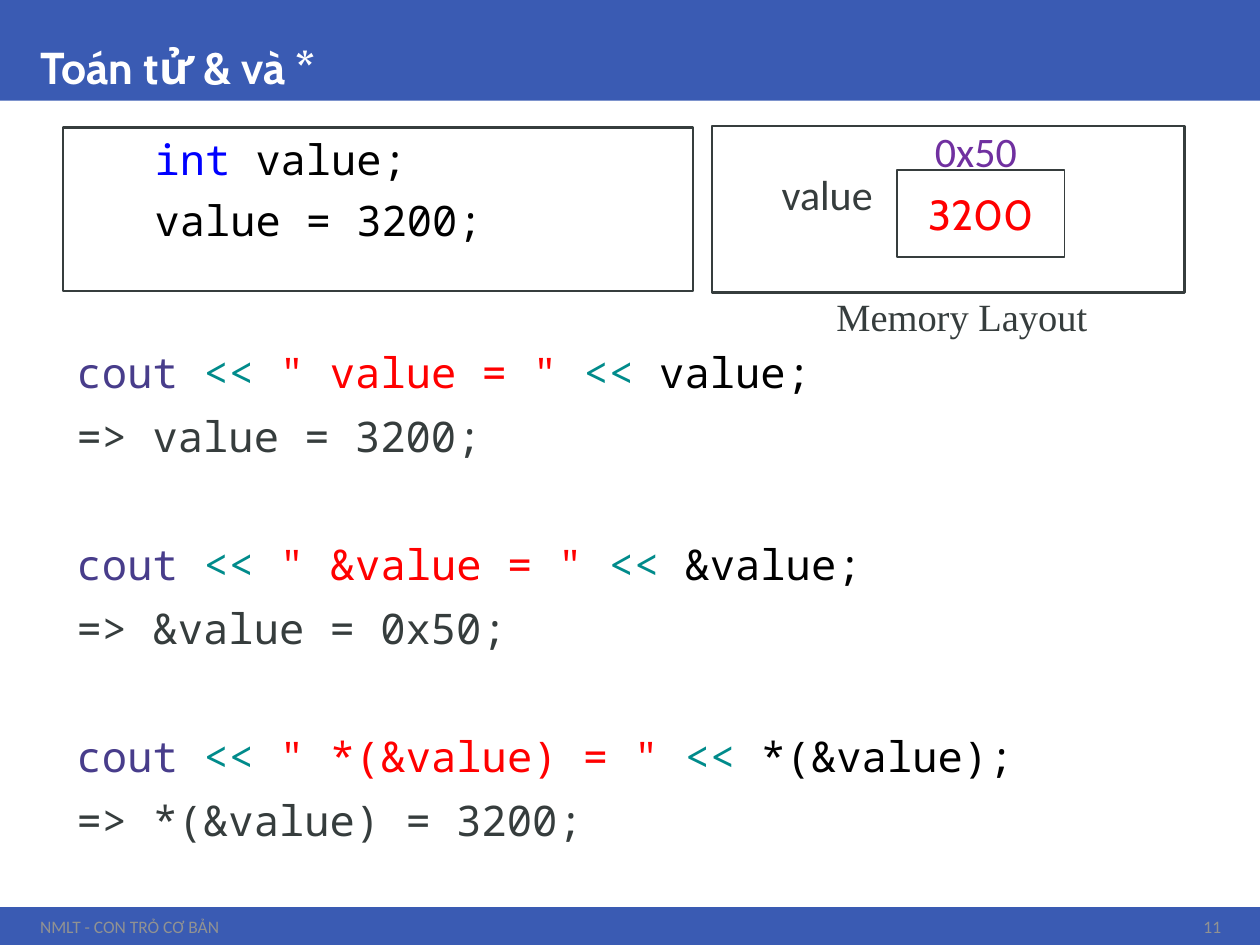
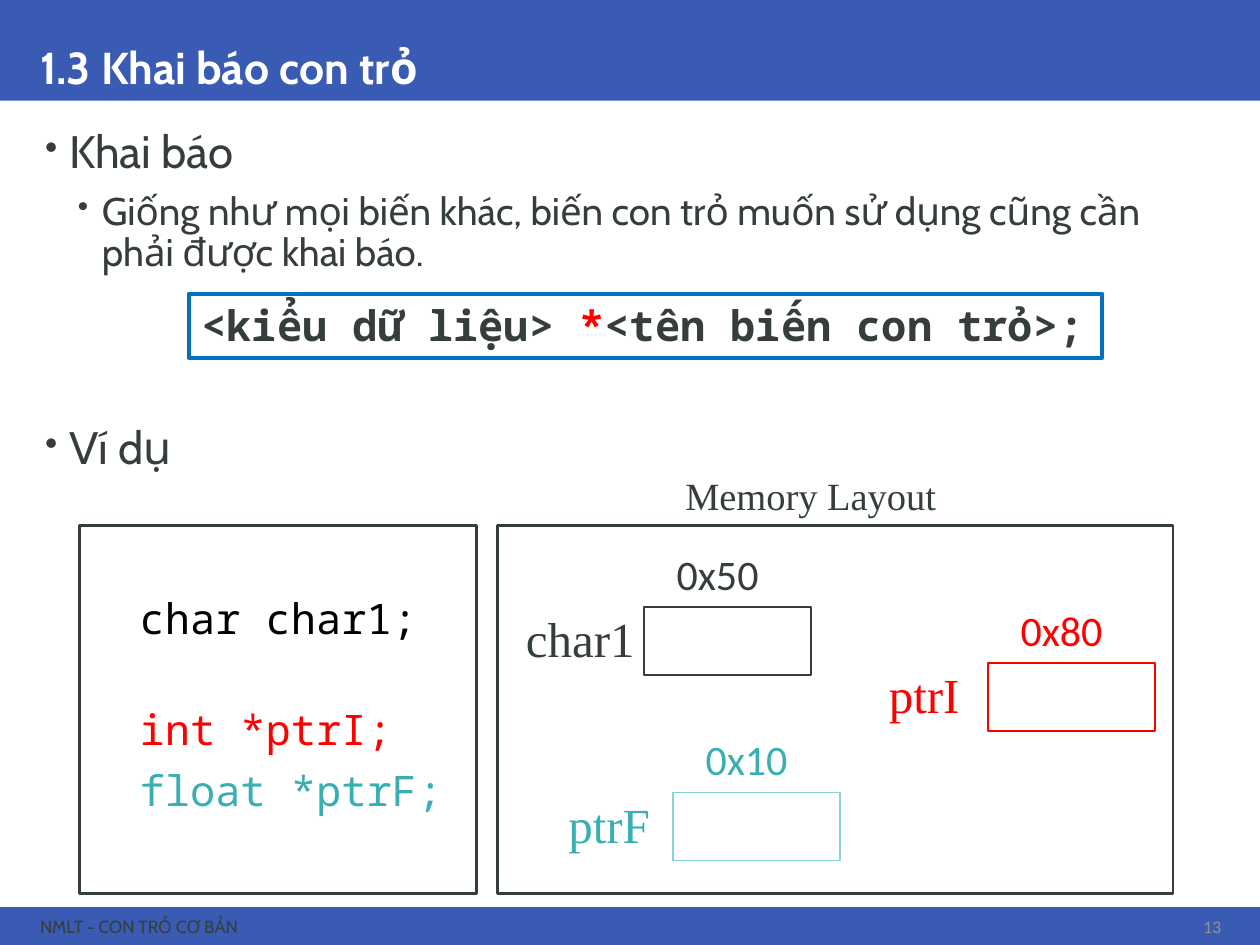
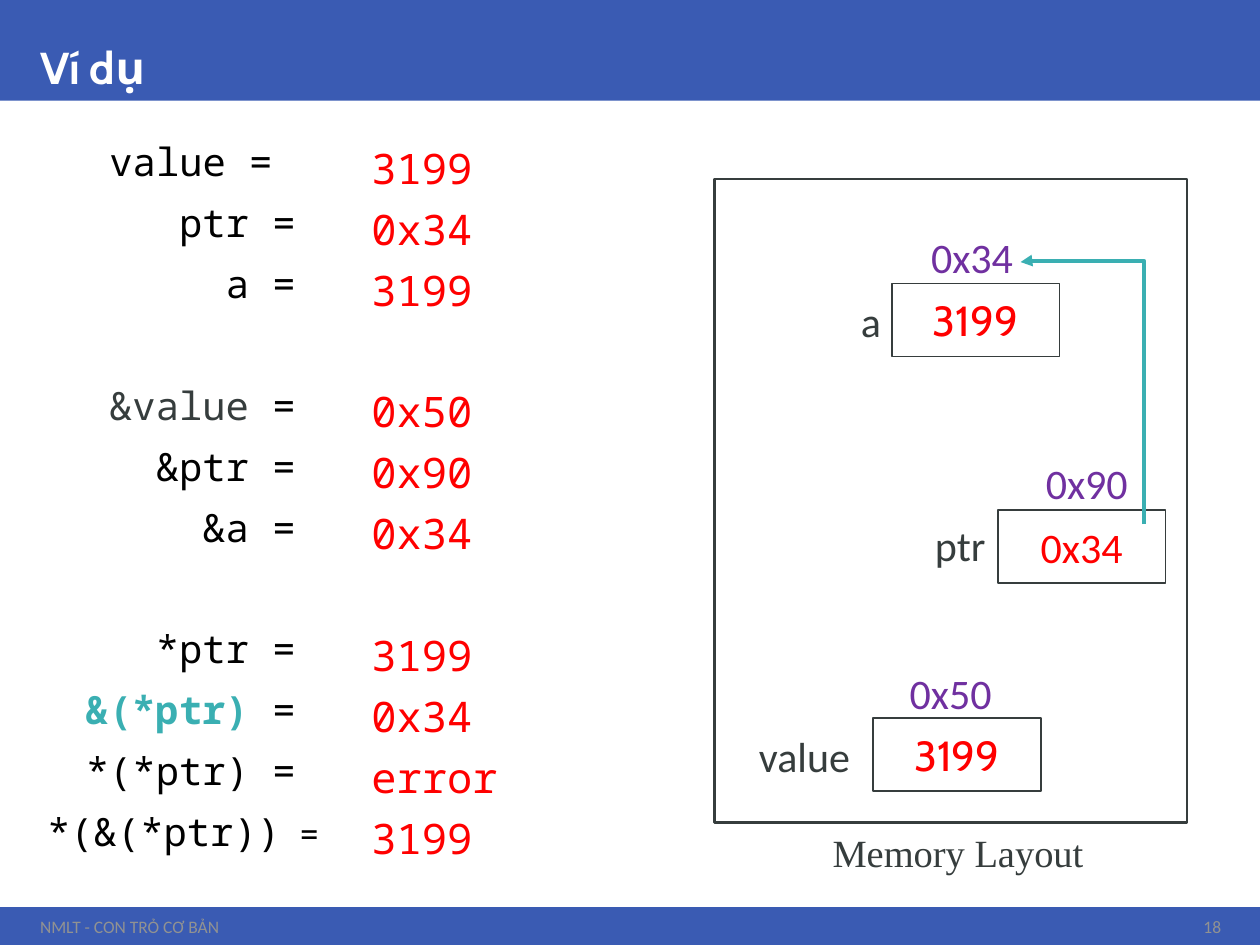
from dataclasses import dataclass

from lxml import etree
from pptx import Presentation
from pptx.dml.color import RGBColor
from pptx.enum.shapes import MSO_CONNECTOR, MSO_SHAPE
from pptx.enum.text import MSO_ANCHOR, PP_ALIGN
from pptx.oxml.ns import qn
from pptx.util import Inches, Pt

RECTANGLE = MSO_SHAPE.RECTANGLE
ELBOW = MSO_CONNECTOR.ELBOW
TOP, MIDDLE, BOTTOM = MSO_ANCHOR.TOP, MSO_ANCHOR.MIDDLE, MSO_ANCHOR.BOTTOM
LEFT, CENTER, RIGHT = PP_ALIGN.LEFT, PP_ALIGN.CENTER, PP_ALIGN.RIGHT


@dataclass(frozen=True)
class Theme:
    band: str = "3A5BB3"
    white: str = "FFFFFF"
    ink: str = "363D3D"
    black: str = "000000"
    muted: str = "919292"
    red: str = "FF0000"
    teal: str = "3AAFB2"
    light_teal: str = "83D5D7"
    purple: str = "7030A0"
    keyword: str = "0000FF"
    stream: str = "483D8B"
    operator: str = "008B8B"
    frame: str = "0070C0"
    heading_font: str = "Cabin"
    label_font: str = "Calibri"
    code_font: str = "Noto Sans Mono"
    memory_font: str = "Times New Roman"
    title_size: float = 25.5
    topic_size: float = 26
    detail_size: float = 22
    footer_size: float = 10
    code_size: float = 24
    output_size: float = 24.1
    expression_size: float = 22.2
    small_equals_size: float = 18.5
    label_size: float = 24
    name_size: float = 28


THEME = Theme()
CODE_LINE = 28.8
CODE_GAP = 6
BODY_GAP = 13.5


@dataclass(frozen=True)
class Box:
    left: float
    top: float
    width: float
    height: float

    def inner(self, left, top, width, height):
        return Box(self.left + left, self.top + top, width, height)

    def lengths(self):
        return [Inches(round(side, 2)) for side in
                (self.left, self.top, self.width, self.height)]


@dataclass(frozen=True)
class Span:
    text: str
    color: str = THEME.ink
    size: float = 0
    bold: bool = False


@dataclass(frozen=True)
class Style:
    font: str
    size: float
    align: int = LEFT
    line: float = 1.0
    margin: float = 0
    indent: float = 0
    bullet: bool = False


@dataclass(frozen=True)
class Cell:
    place: tuple
    name: str
    address: str
    name_offset: tuple
    address_offset: tuple
    value: str = ""
    line: str = THEME.ink
    name_color: str = THEME.ink
    address_color: str = THEME.purple
    value_font: str = THEME.heading_font
    name_align: int = CENTER
    label_height: float = 0.33
    name_font: str = THEME.label_font
    name_size: float = THEME.label_size


def rgb(value):
    return RGBColor.from_string(value)


def add_box(page, box, fill=None, line=None, width=1.5):
    shape = page.shapes.add_shape(RECTANGLE, *box.lengths())
    shape.shadow.inherit = False
    if fill:
        shape.fill.solid()
        shape.fill.fore_color.rgb = rgb(fill)
    else:
        shape.fill.background()
    if line:
        shape.line.color.rgb = rgb(line)
        shape.line.width = Pt(width)
    else:
        shape.line.fill.background()
    return shape


def add_text_box(page, box, anchor=TOP):
    shape = page.shapes.add_textbox(*box.lengths())
    shape.text_frame.word_wrap = True
    shape.text_frame.vertical_anchor = anchor
    return shape


def add_para(shape, spans, style, before=0):
    frame = shape.text_frame
    first = not frame.paragraphs[0].runs
    para = frame.paragraphs[0] if first else frame.add_paragraph()
    properties = para._p.get_or_add_pPr()
    properties.set("marL", str(Inches(style.margin)))
    properties.set("indent", str(Inches(style.indent)))
    if style.bullet:
        etree.SubElement(properties, qn("a:buSzPct")).set("val", "80000")
        etree.SubElement(properties, qn("a:buChar")).set("char", "•")
    para.alignment = style.align
    para.line_spacing = style.line
    if not first:
        para.space_before = Pt(before)
    for span in spans:
        run = para.add_run()
        run.text = span.text
        run.font.name = style.font
        run.font.size = Pt(span.size or style.size)
        run.font.bold = span.bold
        run.font.color.rgb = rgb(span.color)


def add_label(page, box, text, font, size, color=THEME.ink, align=LEFT, anchor=MIDDLE):
    add_para(add_text_box(page, box, anchor), [Span(text, color)], Style(font, size, align))


def new_page(deck, title, number, footer_font=THEME.label_font, footer_color=THEME.muted):
    page = deck.slides.add_slide(deck.slide_layouts[6])
    header, footer = Box(0, 0, 10, 0.8), Box(0, 7.2, 10, 0.3)
    for band in (header, footer):
        add_box(page, band, THEME.band)
    heading = add_text_box(page, header.inner(0.22, 0, 9.57, 0.8), BOTTOM)
    add_para(heading, [Span(title, THEME.white, bold=True)],
             Style(THEME.heading_font, THEME.title_size, line=0.9))
    add_label(page, footer.inner(0.22, 0.02, 8.26, 0.26), "NMLT - CON TRỎ CƠ BẢN",
              footer_font, THEME.footer_size, footer_color)
    add_label(page, footer.inner(9.26, 0.02, 0.53, 0.26), number,
              THEME.label_font, THEME.footer_size, THEME.muted, RIGHT)
    return page


def add_memory(page, box, caption_offset, cells):
    add_box(page, box, THEME.white, THEME.ink)
    for cell in cells:
        add_cell(page, box.inner(*cell.place), cell)
    add_label(page, box.inner(*caption_offset, 2.29, 0.47), "Memory Layout",
              THEME.memory_font, THEME.detail_size, anchor=TOP)


def add_cell(page, box, cell):
    shape = add_box(page, box, THEME.white, cell.line, 1)
    if cell.value:
        shape.text_frame.vertical_anchor = MIDDLE
        add_para(shape, [Span(cell.value, THEME.red)],
                 Style(cell.value_font, THEME.label_size, CENTER))
    add_label(page, box.inner(*cell.name_offset, 1.41, cell.label_height), cell.name,
              cell.name_font, cell.name_size, cell.name_color, cell.name_align)
    add_label(page, box.inner(*cell.address_offset, 1.41, cell.label_height), cell.address,
              THEME.label_font, THEME.label_size, cell.address_color, CENTER)


def code_style(margin):
    return Style(THEME.code_font, THEME.code_size, line=Pt(CODE_LINE), margin=margin)


def add_output(page, box):
    line = 23.1
    style = Style(THEME.code_font, THEME.output_size, line=Pt(line), margin=0.09)
    shape = add_text_box(page, box)
    for expression, result in (("value", "3200"), ("&value", "0x50"), ("*(&value)", "3200")):
        add_para(shape, [
            Span("cout", THEME.stream), Span(" ", THEME.black),
            Span("<<", THEME.operator), Span(" ", THEME.black),
            Span(f'" {expression} = "', THEME.red), Span(" ", THEME.black),
            Span("<<", THEME.operator), Span(f" {expression};", THEME.black),
        ], style, 2 * BODY_GAP + line)
        add_para(shape, [Span(f"=> {expression} = {result};")], style, BODY_GAP)


def operators_slide(deck):
    page = new_page(deck, "Toán tử & và *", "11")
    add_output(page, Box(0.42, 2.78, 8.92, 4.05))
    code = add_box(page, Box(0.5, 1.01, 5, 1.3), line=THEME.ink)
    code.text_frame.vertical_anchor = TOP
    add_para(code, [Span("int", THEME.keyword), Span(" value;", THEME.black)], code_style(0.63))
    add_para(code, [Span("value = 3200;", THEME.black)], code_style(0.63), CODE_GAP)
    add_memory(page, Box(5.65, 1, 3.75, 1.32), (0.89, 1.28), [
        Cell((1.47, 0.35, 1.33, 0.69), "value", "0x50", (-1.26, -0.01), (-0.08, -0.35),
             "3200", label_height=0.39),
    ])


def add_outline(page, box):
    shape = add_text_box(page, box)
    topic = Style(THEME.heading_font, THEME.topic_size, line=0.9,
                  margin=0.23, indent=-0.19, bullet=True)
    detail = Style(THEME.heading_font, THEME.detail_size, line=0.9,
                   margin=0.49, indent=-0.19, bullet=True)
    add_para(shape, [Span("Khai báo")], topic)
    add_para(shape, [Span("Giống như mọi biến khác, biến con trỏ muốn sử dụng "
                          "cũng cần phải được khai báo.")], detail, 7.5)
    add_para(shape, [Span("Ví dụ")], topic, 86)


def add_declarations(page, box):
    shape = add_box(page, box, line=THEME.ink)
    shape.text_frame.vertical_anchor = TOP
    shape.text_frame.margin_top = Inches(0.53)
    for text, color, before in (
        ("char char1;", THEME.black, 0),
        ("int *ptrI;", THEME.red, CODE_GAP + CODE_LINE),
        ("float *ptrF;", THEME.teal, CODE_GAP),
    ):
        add_para(shape, [Span(text, color)], code_style(0.38), before)


def declaration_slide(deck):
    page = new_page(deck, "1.3 Khai báo con trỏ", "13", THEME.heading_font, THEME.ink)
    add_outline(page, Box(0.22, 0.98, 9.57, 6.05))
    syntax = add_box(page, Box(1.5, 2.33, 7.25, 0.51), line=THEME.frame, width=2.25)
    syntax.text_frame.vertical_anchor = TOP
    add_para(syntax, [
        Span("<kiểu dữ liệu> ", bold=True),
        Span("*", THEME.red, bold=True),
        Span("<tên biến con trỏ>;", bold=True),
    ], code_style(0))
    add_declarations(page, Box(0.63, 4.17, 3.15, 2.92))
    add_memory(page, Box(3.95, 4.17, 5.36, 2.92), (1.39, -0.47), [
        Cell((left, top, 1.33, 0.54), name, address, (-1.21, -0.1), (-0.12, -0.61),
             line=line, name_color=color, address_color=color, label_height=0.69,
             name_font=THEME.memory_font, name_size=THEME.name_size)
        for left, top, name, address, line, color in (
            (1.16, 0.65, "char1", "0x50", THEME.ink, THEME.ink),
            (1.39, 2.12, "ptrF", "0x10", THEME.light_teal, THEME.teal),
            (3.89, 1.09, "ptrI", "0x80", THEME.red, THEME.red),
        )
    ])


def add_pointer_arrow(page, box):
    left, top, width, height = box.lengths()
    arrow = page.shapes.add_connector(ELBOW, left, top, left + width, top + height)
    arrow.line.color.rgb = rgb(THEME.teal)
    arrow.line.width = Pt(2.25)
    properties = arrow._element.spPr
    transform = properties.find(qn("a:xfrm"))
    transform.set("rot", "16200000")
    transform.set("flipV", "1")
    geometry = properties.find(qn("a:prstGeom"))
    guides = geometry.find(qn("a:avLst"))
    if guides is None:
        guides = etree.SubElement(geometry, qn("a:avLst"))
    guide = etree.SubElement(guides, qn("a:gd"))
    guide.set("name", "adj1")
    guide.set("fmla", "val 100500")
    etree.SubElement(properties.find(qn("a:ln")), qn("a:tailEnd")).set("type", "triangle")
    etree.SubElement(properties, qn("a:effectLst"))


def add_expressions(page, box):
    line = 21.3
    gap = 2 * BODY_GAP + line
    style = Style(THEME.code_font, THEME.expression_size, RIGHT, Pt(line), 0.09)
    first = Style(THEME.code_font, THEME.expression_size, LEFT, Pt(line), 0.62)
    equals = Span(" = ", THEME.black)
    shape = add_text_box(page, box)
    add_para(shape, [Span("value =", THEME.black)], first)
    for spans, before in (
        ([Span("ptr", THEME.black), equals], BODY_GAP),
        ([Span("a", THEME.black), equals], BODY_GAP),
        ([Span("&value"), equals], gap),
        ([Span("&ptr", THEME.black), equals], BODY_GAP),
        ([Span("&a", THEME.black), equals], BODY_GAP),
        ([Span("*ptr", THEME.black), equals], gap),
        ([Span("&(*ptr) ", THEME.teal, bold=True), Span("= ", THEME.black)], BODY_GAP),
        ([Span("*(*ptr)", THEME.black), equals], BODY_GAP),
        ([Span("*(&(*ptr))", THEME.black),
          Span(" = ", THEME.black, THEME.small_equals_size)], BODY_GAP),
    ):
        add_para(shape, spans, style, before)


def add_results(page, box):
    shape = add_text_box(page, box)
    groups = (("3199", "0x34", "3199"), ("0x50", "0x90", "0x34"),
              ("3199", "0x34", "error", "3199"))
    for group in groups:
        for index, result in enumerate(group):
            before = CODE_GAP if index else 2 * CODE_GAP + CODE_LINE
            add_para(shape, [Span(result, THEME.red)], code_style(0.09), before)


def example_slide(deck):
    page = new_page(deck, "Ví dụ", "18")
    add_memory(page, Box(5.67, 1.42, 3.75, 5.11), (0.84, 5.11), [
        Cell((1.41, 0.83, 1.33, 0.58), "a", "0x34", (-1.4, 0.13), (-0.07, -0.38),
             "3199", name_align=RIGHT),
        Cell((1.26, 4.28, 1.33, 0.58), "value", "0x50", (-1.25, 0.13), (-0.09, -0.37),
             "3199"),
        Cell((2.25, 2.63, 1.33, 0.58), "ptr", "0x90", (-1.41, 0.11), (0, -0.38),
             "0x34", value_font=THEME.label_font, name_align=RIGHT),
    ])
    add_pointer_arrow(page, Box(7.55, 2.63, 2.08, 0.98))
    add_results(page, Box(2.76, 1.08, 2.56, 5.83))
    add_expressions(page, Box(0.15, 1.12, 2.48, 6.05))


def main():
    deck = Presentation()
    deck.slide_width, deck.slide_height = Inches(10), Inches(7.5)
    operators_slide(deck)
    declaration_slide(deck)
    example_slide(deck)
    deck.save("out.pptx")


if __name__ == "__main__":
    main()
